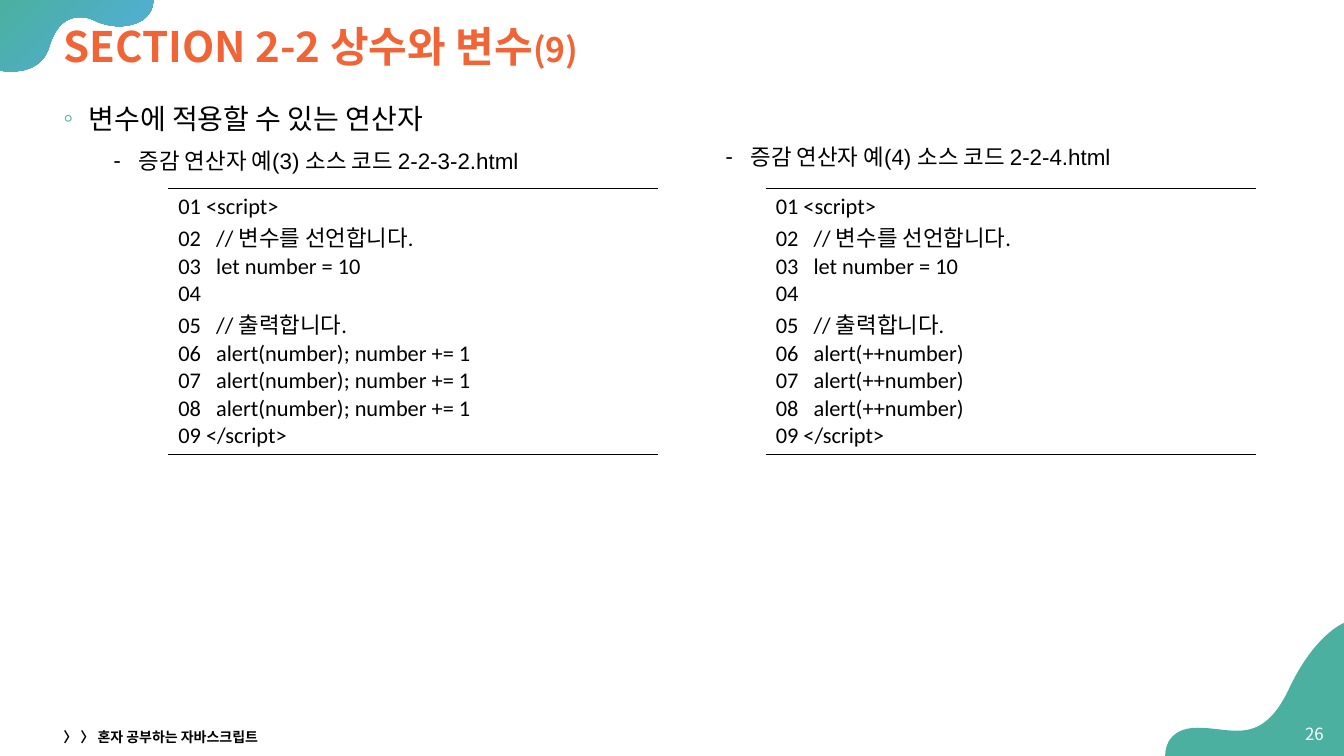
from dataclasses import dataclass

from lxml.etree import SubElement
from pptx import Presentation
from pptx.dml.color import RGBColor
from pptx.enum.text import MSO_ANCHOR as Anchor, PP_ALIGN as Align
from pptx.oxml.ns import qn
from pptx.util import Emu, Inches, Pt

TEAL = RGBColor(0x4B, 0xB0, 0xA0)
BLUE = RGBColor(0x52, 0xAE, 0xE1)
ORANGE = RGBColor(0xF0, 0x64, 0x36)
BLACK = RGBColor(0, 0, 0)
WHITE = RGBColor(0xFF, 0xFF, 0xFF)
NOTO = "Noto Sans CJK KR"

# Slide grid: 40 columns by 30 rows
COLS, ROWS = 40, 30
WIDTH, HEIGHT = Emu(12192000), Inches(7.5)
MARGIN = 1.59

Point = tuple[float, float]
Curve = tuple[Point, Point, Point]


@dataclass
class Run:
    text: str
    size: float
    font: str = NOTO
    color: RGBColor = BLACK
    bold: bool = False


@dataclass
class Area:
    x: float
    y: float
    w: float
    h: float


@dataclass
class Bullet:
    char: str
    color: RGBColor
    level: int
    indent: float
    run: Run


@dataclass
class Wave:
    start: list[Point]
    curves: list[Curve]
    end: list[Point]


def col(n: float) -> Emu:
    return Emu(round(WIDTH * n / COLS))


def row(n: float) -> Emu:
    return Emu(round(HEIGHT * n / ROWS))


def place(a: Area) -> tuple[Emu, Emu, Emu, Emu]:
    return col(a.x), row(a.y), col(a.w), row(a.h)


def add_run(p, run: Run) -> None:
    r = p.add_run()
    r.text = run.text
    r.font.size = Pt(run.size)
    r.font.name = run.font
    r.font.bold = run.bold
    r.font.color.rgb = run.color
    rPr = r.font._element
    rPr.set("kern", "0")
    SubElement(rPr, qn("a:ea"), typeface=NOTO)


def add_box(s, area: Area, anchor=Anchor.TOP):
    tf = s.shapes.add_textbox(*place(area)).text_frame
    tf.word_wrap = True
    tf.vertical_anchor = anchor
    return tf


def add_line(s, area: Area, runs: list[Run], align=Align.LEFT, spacing: float = 1.0) -> None:
    p = add_box(s, area, Anchor.MIDDLE).paragraphs[0]
    p.alignment = align
    p.line_spacing = spacing
    for run in runs:
        add_run(p, run)


def add_bullets(s, area: Area, bullets: list[Bullet]) -> None:
    tf = add_box(s, area)
    for i, b in enumerate(bullets):
        p = tf.add_paragraph() if i else tf.paragraphs[0]
        p.level = b.level
        pPr = p._p.get_or_add_pPr()
        pPr.set("marL", str(Inches(b.indent)))
        pPr.set("indent", str(-Inches(0.25)))
        color = SubElement(pPr, qn("a:buClr"))
        SubElement(color, qn("a:srgbClr"), val=str(b.color))
        SubElement(pPr, qn("a:buFont"), typeface="Arial")
        SubElement(pPr, qn("a:buChar"), char=b.char)
        p.line_spacing = 1.2
        p.space_before = Pt(5 if i else 0)
        add_run(p, b.run)


def add_wave(s, wave: Wave):
    points = wave.start + [pt for curve in wave.curves for pt in curve] + wave.end
    outline = [(col(x), row(y)) for x, y in points]
    builder = s.shapes.build_freeform(*outline[0])
    builder.add_line_segments(outline[1:], close=True)
    sp = builder.convert_to_shape()
    # Turn each three segments of the curved part into one Bézier curve
    segments = list(sp._element.iter(qn("a:lnTo")))
    first = len(wave.start) - 1
    for i in range(first, first + 3 * len(wave.curves), 3):
        curve = SubElement(segments[i].getparent(), qn("a:cubicBezTo"))
        segments[i].addprevious(curve)
        for segment in segments[i:i + 3]:
            curve.append(segment[0])
            segment.getparent().remove(segment)
    sp.shadow.inherit = False
    sp.line.fill.background()
    return sp


def add_code(s, area: Area, lines: list[str]) -> None:
    table = s.shapes.add_table(1, 1, *place(area)).table
    table.first_row = table.horz_banding = False
    cell = table.cell(0, 0)
    tcPr = cell._tc.get_or_add_tcPr()
    for side in ("L", "R"):
        SubElement(SubElement(tcPr, qn(f"a:ln{side}"), w="0"), qn("a:noFill"))
    for side in ("T", "B"):
        ln = SubElement(tcPr, qn(f"a:ln{side}"), w=str(Pt(1)))
        SubElement(SubElement(ln, qn("a:solidFill")), qn("a:srgbClr"), val=str(BLACK))
    cell.fill.background()
    tf = cell.text_frame
    for i, line in enumerate(lines):
        p = tf.add_paragraph() if i else tf.paragraphs[0]
        add_run(p, Run(line, 16, "Calibri"))


def script_listing(statement: str) -> list[str]:
    body = ["<script>", "  // 변수를 선언합니다.", "  let number = 10", "",
            "  // 출력합니다.", *[f"  {statement}"] * 3, "</script>"]
    return [f"{n:02} {text}" if text else f"{n:02}" for n, text in enumerate(body, 1)]


def example(title: str) -> Bullet:
    return Bullet("⁃", BLACK, 1, 0.75, Run(title, 16, "Arial"))


TOP_WAVE = Wave(
    [(0, 0), (0, 2.8)],
    [((0, 2.8), (0.12, 2.84), (0.33, 2.84)),
     ((0.72, 2.84), (1.29, 2.68), (1.47, 1.84)),
     ((1.68, 0.92), (2.04, 0.68), (2.37, 0.68)),
     ((2.52, 0.68), (2.67, 0.72), (2.79, 0.8)),
     ((3.03, 0.96), (3.3, 1.04), (3.54, 1.04)),
     ((4.11, 1.04), (4.56, 0.68), (4.56, 0))],
    [])
BOTTOM_WAVE = Wave(
    [(40, 24.72)],
    [((40, 24.72), (39.12, 25.16), (38.34, 27.4)),
     ((37.86, 28.72), (37.35, 29), (36.81, 29)),
     ((36.45, 29), (36.06, 28.88), (35.64, 28.88)),
     ((34.62, 28.88), (34.68, 30), (34.68, 30))],
    [(40, 30)])


def main() -> None:
    prs = Presentation()
    prs.slide_width, prs.slide_height = WIDTH, HEIGHT
    s = prs.slides.add_slide(prs.slide_layouts[6])

    # Corner waves
    fill = add_wave(s, TOP_WAVE).fill
    fill.gradient()
    fill.gradient_angle = 315
    for stop, position, color in zip(fill.gradient_stops, (0, 1), (TEAL, BLUE)):
        stop.position = position
        stop.color.rgb = color
    fill = add_wave(s, BOTTOM_WAVE).fill
    fill.solid()
    fill.fore_color.rgb = TEAL

    # Title, footer and page number
    add_line(s, Area(MARGIN, 0.48, 37.02, 2.92),
             [Run("SECTION 2-2 상수와 변수", 30, color=ORANGE, bold=True),
              Run("(9)", 24, color=ORANGE, bold=True)], spacing=0.9)
    add_line(s, Area(MARGIN, 28.76, 13.5, 0.96),
             [Run("〉 〉 혼자 공부하는 자바스크립트", 10, bold=True)])
    add_line(s, Area(38.37, 28.32, 1.32, 1.6), [Run("26", 12, color=WHITE)], Align.RIGHT)

    # Headings of the two halves
    add_bullets(s, Area(MARGIN, 3.56, 18, 3.8),
                [Bullet("◦", TEAL, 0, 0.25, Run("변수에 적용할 수 있는 연산자", 20)),
                 example("증감 연산자 예(3) 소스 코드 2-2-3-2.html")])
    add_bullets(s, Area(19.8, 5.28, 18, 2), [example("증감 연산자 예(4) 소스 코드 2-2-4.html")])

    # Code listings
    for i, statement in enumerate(("alert(number); number += 1", "alert(++number)")):
        add_code(s, Area(5.01 + 17.78 * i, 7.48, 14.58, 10.56), script_listing(statement))

    prs.save("out.pptx")


if __name__ == "__main__":
    main()
